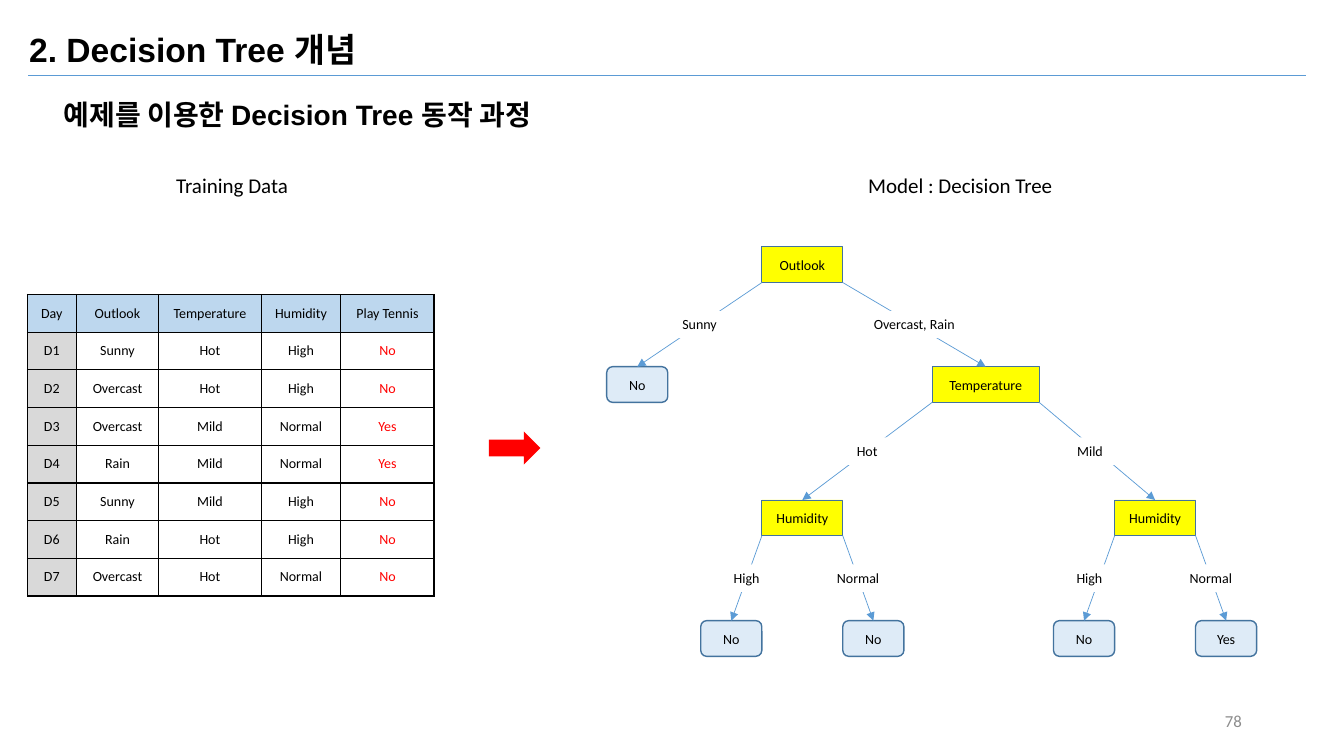
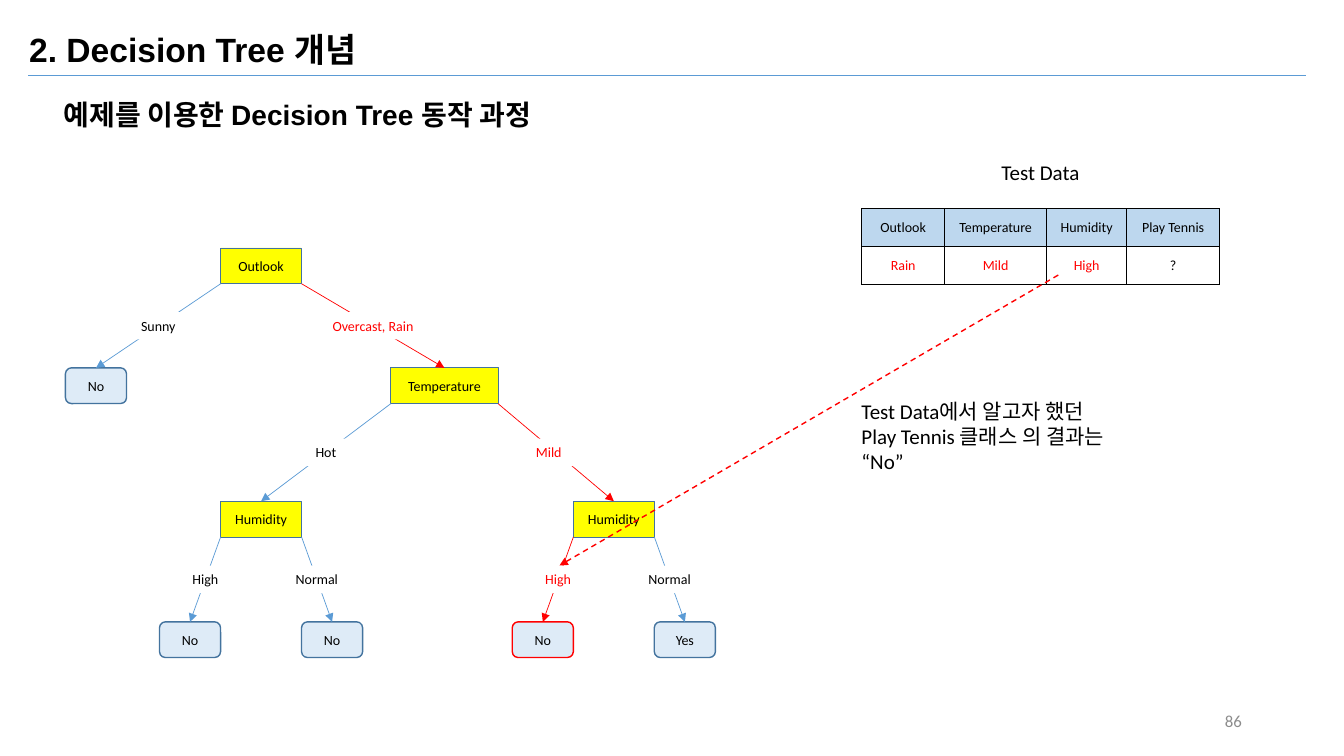
from typing import NamedTuple

from pptx import Presentation
from pptx import util as u
from pptx.dml.color import RGBColor
from pptx.enum import dml, shapes, text
from pptx.oxml import xmlchemy
from pptx.oxml import ns
from lxml import etree

COLORS = {
    "ink": "000000", "paper": "FFFFFF", "red": "FF0000", "grey": "8C8C8C",
    "edge": "5B9BD5", "outline": "43739E", "split": "FFFF00", "leaf": "DEEBF7",
    "header": "BDD7EE", "day": "D9D9D9",
}
ALIGN = text.PP_ALIGN
ANCHOR = text.MSO_ANCHOR
SHAPE = shapes.MSO_SHAPE

TITLE = "2. Decision Tree 개념"
SUBTITLE = "예제를 이용한 Decision Tree 동작 과정"
TITLE_BOX = (0.48, 0.61, 23.24, 1.27)
SUBTITLE_BOX = (1.35, 2.34, 23.24, 1.12)

COLUMN_WIDTHS = {"Day": 1.23, "Outlook": 2.08, "Temperature": 2.58,
                 "Humidity": 2.01, "Play Tennis": 2.35}
ROW_HEIGHT = 0.95
TRAINING_ROWS = [
    ("D1", "Sunny", "Hot", "High", "No"),
    ("D2", "Overcast", "Hot", "High", "No"),
    ("D3", "Overcast", "Mild", "Normal", "Yes"),
    ("D4", "Rain", "Mild", "Normal", "Yes"),
    ("D5", "Sunny", "Mild", "High", "No"),
    ("D6", "Rain", "Hot", "High", "No"),
    ("D7", "Overcast", "Hot", "Normal", "No"),
]

NODE_HEIGHT = 0.9
LABEL_HEIGHT = 0.69
LEAF_WIDTH = 1.54
LEVELS = (0, 3.02, 6.38, 9.42)
LEAF_OFFSET = 1.79
OUTLOOK_X, TEMPERATURE_X, RIGHT_X = 4.93, 9.55, 13.82


class Node(NamedTuple):
    """One tree node and the branch that leads to it."""
    name: str
    center: float
    level: int
    width: float = LEAF_WIDTH
    parent: str = ""
    side: int = 0
    branch: str = ""
    branch_width: float = 1.55

    @property
    def is_leaf(self):
        """Tell whether the node gives a class."""
        return self.name in ("Yes", "No")


def humidity_leaves(parent, center, answers):
    """Give the two leaves under a humidity node."""
    return {
        f"{parent} {branch}": Node(answer, center + side * LEAF_OFFSET, 3, LEAF_WIDTH,
                                   parent, side, branch, width)
        for answer, side, branch, width in zip(answers, (-1, 1), ("High", "Normal"), (1.55, 1.8))
    }


TREE = {
    "outlook": Node("Outlook", OUTLOOK_X, 0, 2.04),
    "sunny": Node("No", 0.77, 1, LEAF_WIDTH, "outlook", -1, "Sunny"),
    "temperature": Node("Temperature", TEMPERATURE_X, 1, 2.7, "outlook", 1, "Overcast, Rain", 2.82),
    "hot": Node("Humidity", OUTLOOK_X, 2, 2.04, "temperature", -1, "Hot"),
    "mild": Node("Humidity", RIGHT_X, 2, 2.04, "temperature", 1, "Mild", 1.3),
    **humidity_leaves("hot", OUTLOOK_X, ("No", "No")),
    **humidity_leaves("mild", RIGHT_X, ("No", "Yes")),
}


def rgb(name):
    """Look up a palette colour."""
    return RGBColor.from_string(COLORS[name])


def cm(*lengths):
    """Turn numbers into centimetre lengths."""
    return [u.Cm(length) for length in lengths]


def write(frame, content, size=10, font="Calibri", color="ink", bold=False,
          align=ALIGN.CENTER, anchor=ANCHOR.TOP, wrap=True):
    """Fill a text frame with formatted lines."""
    frame.word_wrap = wrap
    frame.vertical_anchor = anchor
    for index, line in enumerate(content.split("\n")):
        paragraph = frame.paragraphs[0] if index == 0 else frame.add_paragraph()
        paragraph.alignment = align
        run = paragraph.add_run()
        run.text = line
        run.font.size = u.Pt(size)
        run.font.name = font
        run.font.bold = bold
        run.font.color.rgb = rgb(color)


def add_text(slide, box, content, **style):
    """Add a text box."""
    write(slide.shapes.add_textbox(*cm(*box)).text_frame, content, **style)


def add_box(slide, kind, box, fill, content="", outline=None, weight=0.5, **style):
    """Add a filled shape, with its text if any."""
    shape = slide.shapes.add_shape(kind, *cm(*box))
    shape.shadow.inherit = False
    shape.fill.solid()
    shape.fill.fore_color.rgb = rgb(fill)
    if outline:
        shape.line.color.rgb = rgb(outline)
        shape.line.width = u.Pt(weight)
    else:
        shape.line.fill.background()
    if content:
        write(shape.text_frame, content, wrap=False, **style)


def add_line(slide, start, end, color="edge", weight=0.5, arrow=True, dashed=False):
    """Add a straight line, with an arrowhead at its end by default."""
    line = slide.shapes.add_connector(shapes.MSO_CONNECTOR.STRAIGHT, *cm(*start, *end))
    line.line.color.rgb = rgb(color)
    line.line.width = u.Pt(weight)
    if dashed:
        line.line.dash_style = dml.MSO_LINE.DASH
    properties = line.element.spPr
    if arrow:
        etree.SubElement(properties.find(ns.qn("a:ln")), ns.qn("a:tailEnd"), type="triangle")
    etree.SubElement(properties, ns.qn("a:effectLst"))
    return line


def add_borders(cell):
    """Give a cell thin black borders."""
    properties = cell._tc.get_or_add_tcPr()
    for side in ("a:lnL", "a:lnR", "a:lnT", "a:lnB"):
        border = etree.SubElement(properties, ns.qn(side), w=str(u.Pt(1)))
        fill = etree.SubElement(border, ns.qn("a:solidFill"))
        etree.SubElement(fill, ns.qn("a:srgbClr"), val=COLORS["ink"])


def draw_data_table(slide, left, top, headers, rows, red_headers):
    """Draw a data table whose named columns hold red values."""
    widths = [COLUMN_WIDTHS[header] for header in headers]
    height = ROW_HEIGHT * (len(rows) + 1)
    table = slide.shapes.add_table(len(rows) + 1, len(headers),
                                   *cm(left, top, sum(widths), height)).table
    table.first_row = table.horz_banding = False
    for column, width in zip(table.columns, widths):
        column.width = u.Cm(width)
    for row_index, values in enumerate([headers, *rows]):
        table.rows[row_index].height = u.Cm(ROW_HEIGHT)
        for column_index, (header, value) in enumerate(zip(headers, values)):
            cell = table.cell(row_index, column_index)
            add_borders(cell)
            is_header = row_index == 0
            fill = "header" if is_header else "day" if header == "Day" else "paper"
            cell.fill.solid()
            cell.fill.fore_color.rgb = rgb(fill)
            is_red = header in red_headers and not is_header
            write(cell.text_frame, value, color="red" if is_red else "ink")
            cell.vertical_anchor = ANCHOR.MIDDLE


def draw_tree(slide, left, top, chosen=(), nudges=None):
    """Draw the decision tree, with the chosen branches in red."""
    nudges = nudges or {}
    for key, node in TREE.items():
        box = (left + node.center - node.width / 2, top + LEVELS[node.level],
               node.width, NODE_HEIGHT)
        if node.is_leaf:
            add_box(slide, SHAPE.ROUNDED_RECTANGLE, box, "leaf", node.name,
                    "red" if key in chosen else "outline", 1, anchor=ANCHOR.MIDDLE)
        else:
            add_box(slide, SHAPE.RECTANGLE, box, "split", node.name, "outline",
                    anchor=ANCHOR.MIDDLE)
    for key, node in TREE.items():
        if not node.parent:
            continue
        parent = TREE[node.parent]
        start = (left + parent.center + node.side * parent.width / 2,
                 top + LEVELS[parent.level] + NODE_HEIGHT)
        end = (left + node.center, top + LEVELS[node.level])
        add_line(slide, start, end, "red" if key in chosen else "edge")
        middle_x = (start[0] + end[0]) / 2 + nudges.get(key, 0)
        middle_y = (start[1] + end[1]) / 2
        add_box(slide, SHAPE.RECTANGLE,
                (middle_x - node.branch_width / 2, middle_y - LABEL_HEIGHT / 2,
                 node.branch_width, LABEL_HEIGHT),
                "paper", node.branch, color="red" if key in chosen else "ink")


def place(placeholder, box):
    """Move a placeholder to a box."""
    placeholder.left, placeholder.top, placeholder.width, placeholder.height = cm(*box)


def start_slide(deck, layout, page):
    """Add a slide with the shared title, subtitle and page number."""
    slide = deck.slides.add_slide(layout)
    title, subtitle = slide.shapes.title, slide.placeholders[1]
    place(title, TITLE_BOX)
    place(subtitle, SUBTITLE_BOX)
    properties = subtitle.text_frame.paragraphs[0]._p.get_or_add_pPr()
    properties.set("marL", "0")
    properties.set("indent", "0")
    etree.SubElement(properties, ns.qn("a:buNone"))
    subtitle.text_frame.paragraphs[0].space_before = u.Pt(0)
    for heading, content, size in ((title, TITLE, 24), (subtitle, SUBTITLE, 20)):
        heading.text_frame.auto_size = text.MSO_AUTO_SIZE.NONE
        write(heading.text_frame, content, size=size, font="Arial", bold=True, align=ALIGN.LEFT)
    add_text(slide, (23.93, 17.65, 7.62, 1.02), page, size=12, color="grey",
             align=ALIGN.RIGHT, anchor=ANCHOR.MIDDLE)
    return slide


def build_training_slide(deck, layout):
    """Show the training data and the tree learned from it."""
    slide = start_slide(deck, layout, "78")
    headers = list(COLUMN_WIDTHS)
    draw_data_table(slide, 0.69, 7.42, headers, TRAINING_ROWS, {"Play Tennis"})
    add_text(slide, (3.96, 4.22, 3.78, 0.89), "Training Data", size=15)
    add_box(slide, SHAPE.RIGHT_ARROW, (12.32, 10.87, 1.3, 0.84), "red")
    draw_tree(slide, 15.29, 6.22, nudges={"mild": -0.18, "mild High": -0.25})
    add_text(slide, (21.23, 4.22, 5.94, 0.89), "Model : Decision Tree", size=15)
    return slide


def build_test_slide(deck, layout):
    """Follow one test record down the tree to its class."""
    slide = start_slide(deck, layout, "86")
    headers = list(COLUMN_WIDTHS)[1:]
    draw_data_table(slide, 21.72, 5.26, headers, [("Rain", "Mild", "High", "?")],
                    set(headers) - {"Play Tennis"})
    add_text(slide, (24.33, 3.89, 3.78, 0.89), "Test Data", size=15)
    draw_tree(slide, 1.65, 6.25, chosen=("temperature", "mild", "mild High"),
              nudges={"mild": -0.18})
    add_line(slide, (26.67, 6.93), (14.1, 14.25), "red", 1, dashed=True)
    add_text(slide, (21.46, 9.91, 7.57, 2.18),
             "Test Data에서 알고자 했던\nPlay Tennis 클래스 의 결과는\n“No”",
             size=15, align=ALIGN.LEFT)


def main():
    """Build the deck."""
    deck = Presentation()
    deck.slide_width, deck.slide_height = cm(33.87, 19.05)
    layout = deck.slide_layouts[1]
    first = build_training_slide(deck, layout)
    build_test_slide(deck, layout)
    title_rule = add_line(first, (0.71, 1.91), (32.92, 1.91), arrow=False)
    layout.shapes.element.append(title_rule.element)
    deck.save("out.pptx")


if __name__ == "__main__":
    main()
